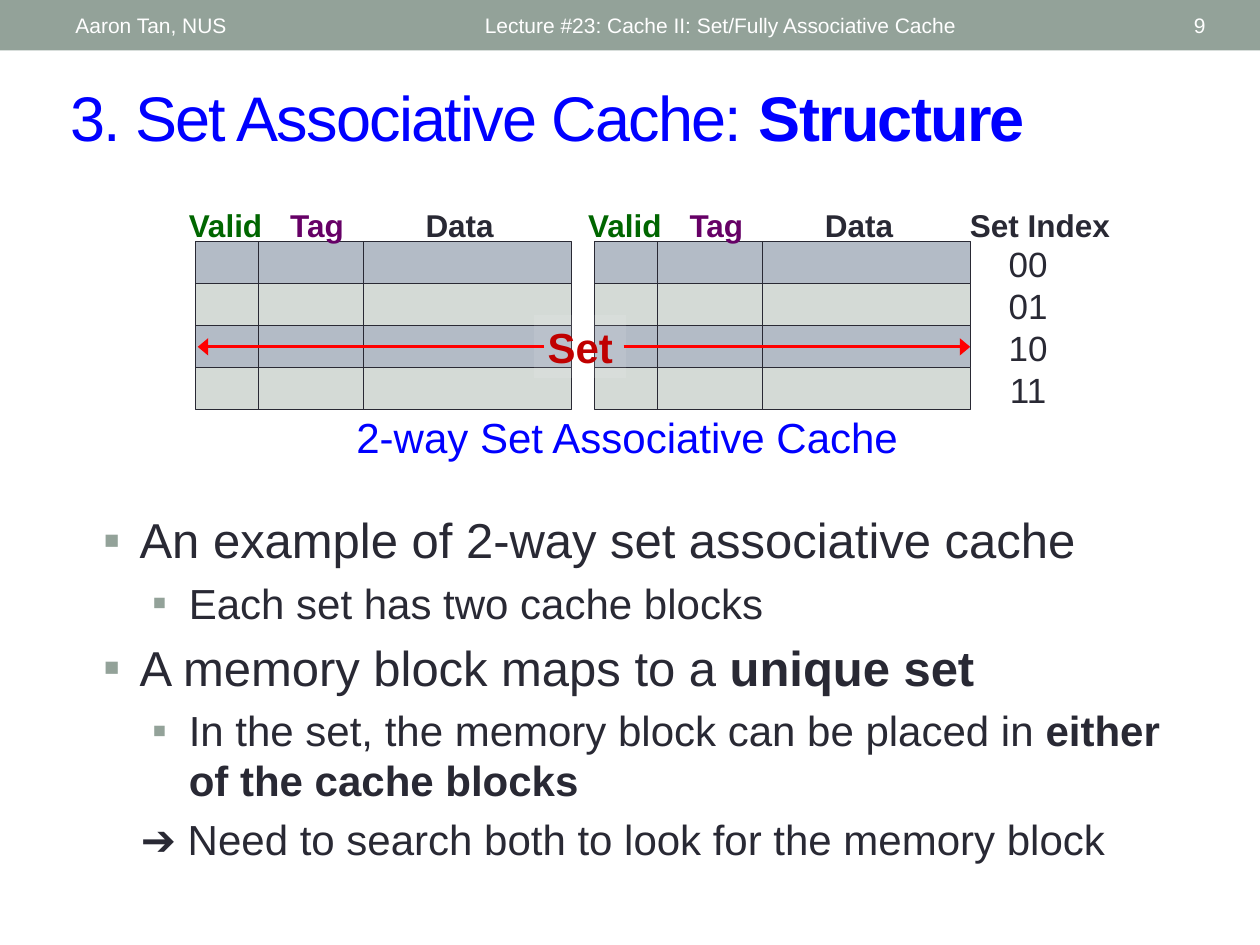
from dataclasses import dataclass

from lxml import etree
from pptx import Presentation
from pptx import util as u
from pptx.dml.color import RGBColor
from pptx.enum import shapes, text
from pptx.oxml import ns

Pt = u.Pt
LEFT, CENTER, RIGHT = text.PP_ALIGN.LEFT, text.PP_ALIGN.CENTER, text.PP_ALIGN.RIGHT


@dataclass(frozen=True)
class Theme:
    font: str = "Arial"
    ink: str = "292934"
    white: str = "FFFFFF"
    accent: str = "93A299"
    blue: str = "0000FF"
    valid: str = "006600"
    tag: str = "660066"
    set_label: str = "C00000"
    arrow: str = "FF0000"
    rows: tuple = ("B3BBC6", "D4DAD6")
    title: int = 36
    levels: tuple = (28, 24)
    caption: int = 24
    index: int = 20
    label: int = 18
    header: int = 12


T = Theme()
ROW_TOP, ROW_H = 138, 24
LABEL_TOP = 114.2
BLOCK_LEFTS = (111.6, 339.8)
COLUMNS = (
    ("Valid", T.valid, 0, 36, -10.8),
    ("Tag", T.tag, 36, 60, 47.2),
    ("Data", T.ink, 96, 119, 124.5),
)
INDEXES = ("00", "01", "10", "11")
BULLETS = (
    (0, 20.9, -20.9, True, (("An example of 2-way set associative cache", False),)),
    (1, 49, -20.9, True, (("Each set has two cache blocks", False),)),
    (0, 20.9, -20.9, True, (("A memory block maps to a ", False), ("unique set", True))),
    (1, 49, -20.9, True, (("In the set, the memory block can be placed in ", False),
                          ("either of the cache blocks", True))),
    (1, 36, -14.4, False, (("➔ Need to search both to look for the memory block", False),)),
)


def rgb(color):
    return RGBColor.from_string(color)


def sub(parent, tag, **attrs):
    return etree.SubElement(parent, ns.qn(tag), **attrs)


def style(font, size, color, bold=False):
    font.name = T.font
    font.size = Pt(size)
    font.color.rgb = rgb(color)
    font.bold = bold


def add_runs(p, parts, size, color):
    for words, bold in parts:
        r = p.add_run()
        r.text = words
        style(r.font, size, color, bold)


def add_text(s, words, box, size, color, bold=False, align=LEFT, middle=False, wrap=False):
    sp = s.shapes.add_textbox(*map(Pt, box))
    tf = sp.text_frame
    tf.word_wrap = wrap
    if middle:
        tf.vertical_anchor = text.MSO_ANCHOR.MIDDLE
    tf.text = words
    p = tf.paragraphs[0]
    p.alignment = align
    for r in p.runs:
        style(r.font, size, color, bold)
    return sp


def add_rect(s, box, fill, line=None):
    sp = s.shapes.add_shape(shapes.MSO_SHAPE.RECTANGLE, *map(Pt, box))
    sp.shadow.inherit = False
    sp.fill.solid()
    sp.fill.fore_color.rgb = rgb(fill)
    if line:
        sp.line.color.rgb = rgb(line)
        sp.line.width = Pt(0.75)
    else:
        sp.line.fill.background()
    return sp


def add_arrow(s, start, end, y):
    c = s.shapes.add_connector(shapes.MSO_CONNECTOR.STRAIGHT, Pt(start), Pt(y), Pt(end), Pt(y))
    c.line.color.rgb = rgb(T.arrow)
    c.line.width = Pt(1.75)
    sub(c.line._get_or_add_ln(), "a:tailEnd", type="triangle", w="lg")
    sub(c._element.spPr, "a:effectLst")


def add_header(s):
    add_rect(s, (0, 0, 720, 28.8), T.accent)
    for words, left, width, align in (
        ("Aaron Tan, NUS", 36, 228, LEFT),
        ("Lecture #23: Cache II: Set/Fully Associative Cache", 270, 324, LEFT),
        ("9", 628, 68, RIGHT),
    ):
        add_text(s, words, (left, 1.5, width, 26), T.header, T.white,
                 align=align, middle=True, wrap=True)


def add_title(s):
    sp = add_text(s, "", (33.1, 41.4, 663, 50.4), T.title, T.blue, middle=True, wrap=True)
    p = sp.text_frame.paragraphs[0]
    add_runs(p, (("3. Set Associative Cache: ", False), ("Structure", True)), T.title, T.blue)
    for r in p.runs:
        r.font._element.set("spc", "-100")


def add_block(s, left):
    for name, color, offset, width, label_offset in COLUMNS:
        for i in range(len(INDEXES)):
            add_rect(s, (left + offset, ROW_TOP + i * ROW_H, width, ROW_H),
                     T.rows[i % 2], T.ink)
        add_text(s, name, (left + label_offset, LABEL_TOP, 72, 27), T.label, color, bold=True)


def add_set_marker(s):
    sp = add_rect(s, (305.3, 180, 52.6, 36), T.white)
    clr = sp._element.spPr.find(ns.qn("a:solidFill"))[0]
    sub(clr, "a:alpha", val="10000")
    tf = sp.text_frame
    tf.word_wrap = False
    tf.vertical_anchor = text.MSO_ANCHOR.TOP
    tf.text = "Set"
    p = tf.paragraphs[0]
    p.alignment = CENTER
    style(p.runs[0].font, T.caption, T.set_label, True)
    add_arrow(s, 356.4, 554.4, 198.2)
    add_arrow(s, 311, 113, 198.2)


def add_cache(s):
    for left in BLOCK_LEFTS:
        add_block(s, left)
    add_text(s, "Set Index", (547.2, LABEL_TOP, 108, 27), T.label, T.ink, bold=True)
    for i, words in enumerate(INDEXES):
        add_text(s, words, (557.5, 135.2 + i * ROW_H, 60, 27), T.index, T.ink, align=CENTER)
    add_text(s, "2-way Set Associative Cache", (196.6, 231.8, 340, 36), T.caption, T.blue)
    add_set_marker(s)


def add_bullets(s):
    sp = add_text(s, "", (51.8, 287.8, 644.5, 218), T.levels[0], T.ink, wrap=True)
    tf = sp.text_frame
    for i, (level, margin, indent, marked, parts) in enumerate(BULLETS):
        p = tf.add_paragraph() if i else tf.paragraphs[0]
        p.level = level
        if i:
            p.space_before = Pt(T.levels[level] * 0.2)
        pPr = p._p.get_or_add_pPr()
        pPr.set("marL", str(Pt(margin)))
        pPr.set("indent", str(Pt(indent)))
        if marked:
            sub(sub(pPr, "a:buClr"), "a:srgbClr", val=T.accent)
            sub(pPr, "a:buFont", typeface=T.font)
            sub(pPr, "a:buChar", char="▪")
        else:
            sub(pPr, "a:buNone")
        add_runs(p, parts, T.levels[level], T.ink)


def main():
    prs = Presentation()
    prs.slide_width, prs.slide_height = Pt(720), Pt(540)
    s = prs.slides.add_slide(prs.slide_layouts[6])
    add_header(s)
    add_title(s)
    add_bullets(s)
    add_cache(s)
    prs.save("out.pptx")


if __name__ == "__main__":
    main()
